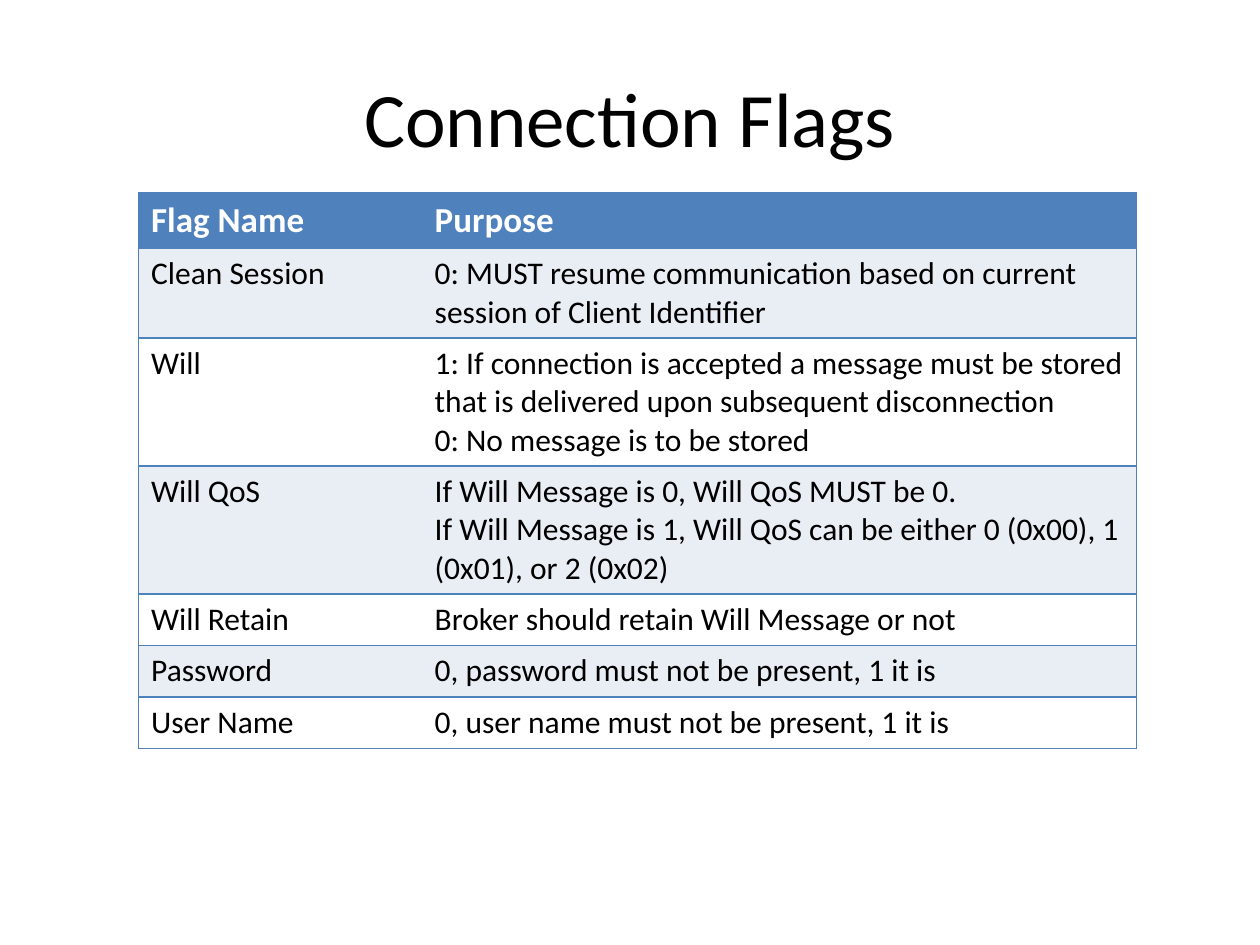
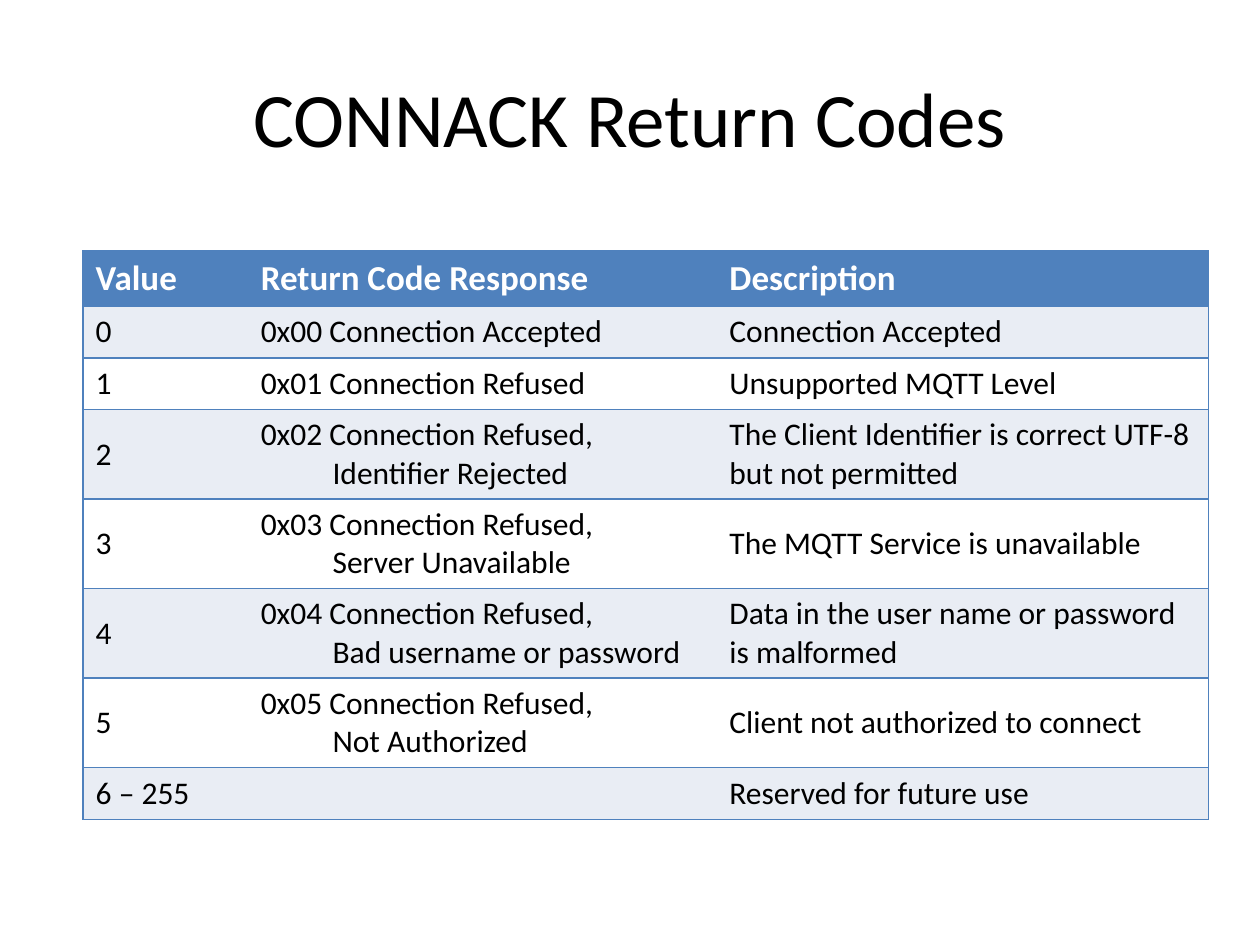
from dataclasses import dataclass

from lxml.etree import SubElement
from pptx import Presentation
from pptx.dml.color import RGBColor
from pptx.enum.text import MSO_ANCHOR, PP_ALIGN
from pptx.oxml.ns import qn
from pptx.util import Pt

PX = 9144  # EMU per px, 100 px to the inch
FONT = "Calibri"
ROW_HEIGHT = 41
BORDER_PT = 1
COLORS = {
    "black": "000000",
    "white": "FFFFFF",
    "accent": "4F81BD",
    "band": "E9EDF4",
}


@dataclass
class TableSlide:
    title: str
    left: int
    top: int
    height: int
    columns: list[int]
    rows: list[tuple[str, ...]]
    anchor: MSO_ANCHOR
    follow_indent: int = 0  # left margin of paragraphs after the first


SLIDES = [
    TableSlide(
        "Connection Flags", 110, 153, 465, [225, 567],
        [
            ("Flag Name", "Purpose"),
            ("Clean Session", "0: MUST resume communication based on current session "
                              "of Client Identifier"),
            ("Will", "1: If connection is accepted a message must be stored that is "
                     "delivered upon subsequent disconnection\n"
                     "0: No message is to be stored"),
            ("Will QoS", "If Will Message is 0, Will QoS MUST be 0.\n"
                         "If Will Message is 1, Will QoS can be either 0 (0x00), "
                         "1 (0x01), or 2 (0x02)"),
            ("Will Retain", "Broker should retain Will Message or not"),
            ("Password", "0, password must not be present, 1 it is"),
            ("User Name", "0, user name must not be present, 1 it is"),
        ],
        MSO_ANCHOR.TOP,
    ),
    TableSlide(
        "CONNACK Return Codes", 66, 199, 445, [131, 372, 390],
        [
            ("Value", "Return Code Response", "Description"),
            ("0", "0x00 Connection Accepted", "Connection Accepted"),
            ("1", "0x01 Connection Refused", "Unsupported MQTT Level"),
            ("2", "0x02 Connection Refused,\nIdentifier Rejected",
             "The Client Identifier is correct UTF-8 but not permitted"),
            ("3", "0x03 Connection Refused,\nServer Unavailable",
             "The MQTT Service is unavailable"),
            ("4", "0x04 Connection Refused,\nBad username or password",
             "Data in the user name or password is malformed"),
            ("5", "0x05 Connection Refused,\nNot Authorized",
             "Client not authorized to connect"),
            ("6 – 255", "", "Reserved for future use"),
        ],
        MSO_ANCHOR.MIDDLE,
        follow_indent=57,
    ),
]


def rgb(name: str) -> RGBColor:
    return RGBColor.from_string(COLORS[name])


def style_runs(p, size: int, color: str, bold: bool = False) -> None:
    for r in p.runs:
        r.font.name = FONT
        r.font.size = Pt(size)
        r.font.bold = bold
        r.font.color.rgb = rgb(color)


def add_title(s, text: str) -> None:
    sp = s.shapes.title
    sp.left, sp.top, sp.width, sp.height = (v * PX for v in (50, 30, 900, 125))
    tf = sp.text_frame
    tf.text = text
    tf.vertical_anchor = MSO_ANCHOR.MIDDLE
    p = tf.paragraphs[0]
    p.alignment = PP_ALIGN.CENTER
    style_runs(p, 44, "black")


def set_borders(cell, is_first: bool, is_last: bool) -> None:
    """Rule every row and the outer sides; leave inner columns open."""
    tc_pr = cell._tc.get_or_add_tcPr()
    sides = {"lnL": is_first, "lnR": is_last, "lnT": True, "lnB": True}
    for tag, visible in sides.items():
        ln = SubElement(tc_pr, qn(f"a:{tag}"), w=str(Pt(BORDER_PT)))
        if visible:
            fill = SubElement(ln, qn("a:solidFill"))
            SubElement(fill, qn("a:srgbClr"), val=COLORS["accent"])
        else:
            SubElement(ln, qn("a:noFill"))


def fill_cell(cell, text: str, row: int, spec: TableSlide) -> None:
    is_header = row == 0
    cell.fill.solid()
    cell.fill.fore_color.rgb = rgb("accent" if is_header else "band" if row % 2 else "white")
    cell.vertical_anchor = spec.anchor
    tf = cell.text_frame
    tf.text = text
    for i, p in enumerate(tf.paragraphs):
        style_runs(p, 20 if is_header else 18, "white" if is_header else "black", is_header)
        if i and spec.follow_indent:
            p_pr = p._p.get_or_add_pPr()
            p_pr.set("marL", str(spec.follow_indent * PX))
            p_pr.set("indent", "0")


def add_table(s, spec: TableSlide) -> None:
    n_cols = len(spec.columns)
    frame = s.shapes.add_table(len(spec.rows), n_cols, spec.left * PX, spec.top * PX,
                               sum(spec.columns) * PX, spec.height * PX)
    table = frame.table
    table.horz_banding = False
    for column, width in zip(table.columns, spec.columns):
        column.width = width * PX
    for i, texts in enumerate(spec.rows):
        table.rows[i].height = ROW_HEIGHT * PX  # rows grow to fit their text
        for j, text in enumerate(texts):
            cell = table.cell(i, j)
            set_borders(cell, j == 0, j == n_cols - 1)
            fill_cell(cell, text, i, spec)
    frame.height = spec.height * PX


def main() -> None:
    prs = Presentation()
    prs.slide_width, prs.slide_height = 1000 * PX, 750 * PX
    title_only = prs.slide_layouts[5]
    for spec in SLIDES:
        s = prs.slides.add_slide(title_only)
        add_title(s, spec.title)
        add_table(s, spec)
    prs.save("out.pptx")


if __name__ == "__main__":
    main()
